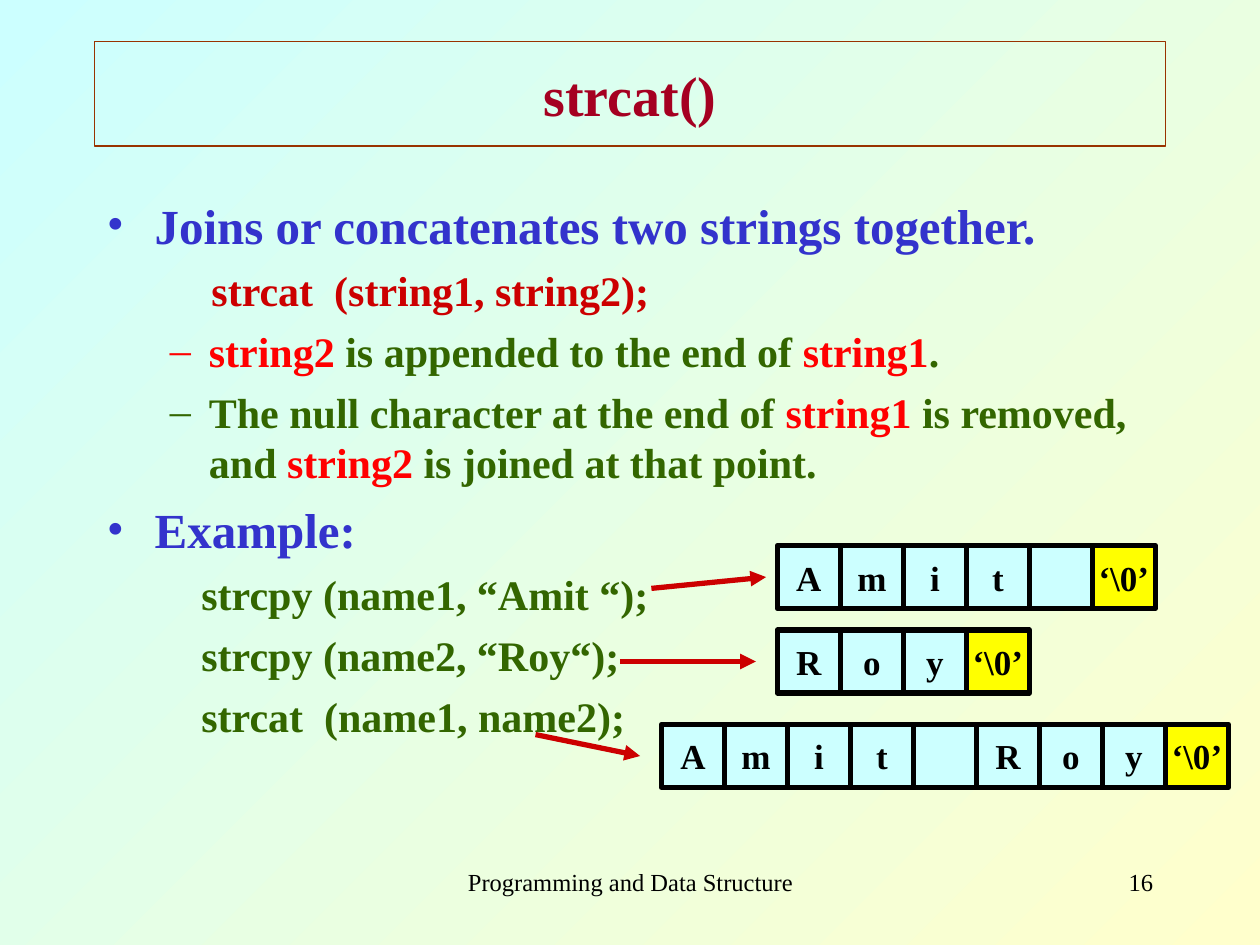
import pptx
import pptx.util
import pptx.dml.color
import pptx.enum.dml
import pptx.enum.shapes
import pptx.enum.text
import pptx.oxml.ns
import lxml.etree

Inches, Pt = pptx.util.Inches, pptx.util.Pt
RGB = pptx.dml.color.RGBColor.from_string
ALIGN = pptx.enum.text.PP_ALIGN
ANCHOR = pptx.enum.text.MSO_ANCHOR
qn = pptx.oxml.ns.qn

THEME = {
    "font": "Times New Roman",
    "bg": ("CCFFFF", "FFFFCC"),
    "title": "A50021", "frame": "993300",
    "head": "3333CC", "body": "336600", "call": "CC0000", "name": "FF0000",
    "black": "000000", "cell": "CCFFFF", "end": "FFFF00", "arrow": "CC0000",
    "title_pt": 32, "head_pt": 28, "body_pt": 24, "cell_pt": 20, "foot_pt": 14,
}

# Content
TITLE = "strcat()"
# kind: (bullet, left margin, first-line indent, size, space before)
STYLES = {
    "head": ("•", 0.38, -0.38, "head_pt", 7),
    "item": ("–", 0.81, -0.31, "body_pt", 6),
    "syntax": (None, 0.83, 0, "body_pt", 6),
    "code": (None, 0.75, 0, "body_pt", 6),
}
BODY = [
    ("head", [("Joins or concatenates two strings together.", "head")]),
    ("syntax", [("strcat  (string1, string2);", "call")]),
    ("item", [("string2", "name"), (" is appended to the end of ", "body"),
              ("string1", "name"), (".", "body")]),
    ("item", [("The null character at the end of ", "body"), ("string1", "name"),
              (" is removed, and ", "body"), ("string2", "name"),
              (" is joined at that point.", "body")]),
    ("head", [("Example:", "head")]),
    ("code", [("strcpy (name1, “Amit “);", "body")]),
    ("code", [("strcpy (name2, “Roy“);", "body")]),
    ("code", [("strcat  (name1, name2);", "body")]),
]
END = "‘\\0’"
AMIT, ROY = list("Amit "), list("Roy")
CELL = 0.5
# left, top, characters
STRINGS = [
    (6.17, 4.33, AMIT + [END]),
    (6.17, 5, ROY + [END]),
    (5.25, 5.75, AMIT + ROY + [END]),
]
ARROWS = [(5.17, 4.67, 6.08, 4.58), (4.92, 5.25, 6, 5.25), (4.25, 5.83, 5.08, 6)]
FOOTERS = [
    ("Programming and Data Structure", 3.42, 3.17, ALIGN.CENTER),
    ("16", 7.17, 2.08, ALIGN.RIGHT),
]


def add_run(p, text, size, color, bold=True):
    r = p.add_run()
    r.text = text
    r.font.name = THEME["font"]
    r.font.size = Pt(THEME[size])
    r.font.bold = bold
    r.font.color.rgb = RGB(THEME[color])


def add_textbox(s, x, y, w, h):
    tf = s.shapes.add_textbox(Inches(x), Inches(y), Inches(w), Inches(h)).text_frame
    tf.word_wrap = True
    return tf


def format_paragraph(p, bullet, margin, indent, before, color):
    p.space_before = Pt(before)
    pPr = p._p.get_or_add_pPr()
    pPr.set("marL", str(Inches(margin)))
    pPr.set("indent", str(Inches(indent)))
    if bullet:
        clr = lxml.etree.SubElement(pPr, qn("a:buClr"))
        lxml.etree.SubElement(clr, qn("a:srgbClr"), val=THEME[color])
        lxml.etree.SubElement(pPr, qn("a:buFont"), typeface=THEME["font"])
        lxml.etree.SubElement(pPr, qn("a:buChar"), char=bullet)
    else:
        lxml.etree.SubElement(pPr, qn("a:buNone"))


def add_cell(group, x, y, char):
    sp = group.shapes.add_shape(pptx.enum.shapes.MSO_SHAPE.RECTANGLE,
                                Inches(x), Inches(y), Inches(CELL), Inches(CELL))
    sp.shadow.inherit = False
    sp.fill.solid()
    sp.fill.fore_color.rgb = RGB(THEME["end" if char == END else "cell"])
    sp.line.color.rgb = RGB(THEME["black"])
    sp.line.width = Pt(3)
    if char.strip():
        tf = sp.text_frame
        tf.word_wrap = False
        tf.vertical_anchor = ANCHOR.MIDDLE
        tf.paragraphs[0].alignment = ALIGN.CENTER
        add_run(tf.paragraphs[0], char, "cell_pt", "black")


def add_arrow(s, x1, y1, x2, y2):
    line = s.shapes.add_connector(pptx.enum.shapes.MSO_CONNECTOR.STRAIGHT,
                                  Inches(x1), Inches(y1), Inches(x2), Inches(y2))
    line.line.color.rgb = RGB(THEME["arrow"])
    line.line.width = Pt(3)
    lxml.etree.SubElement(line.line._get_or_add_ln(), qn("a:tailEnd"), type="triangle")
    lxml.etree.SubElement(line._element.spPr, qn("a:effectLst"))


def main():
    prs = pptx.Presentation()
    prs.slide_width, prs.slide_height = Inches(10), Inches(7.5)
    s = prs.slides.add_slide(prs.slide_layouts[5])

    # Background
    bg = s.background.fill
    bg.gradient()
    bg.gradient_angle = 315
    for stop, color in zip(bg.gradient_stops, THEME["bg"]):
        stop.color.rgb = RGB(color)

    # Title
    sp = s.shapes.title
    sp.left, sp.top, sp.width, sp.height = map(Inches, (0.75, 0.33, 8.5, 0.83))
    sp.line.color.rgb = RGB(THEME["frame"])
    sp.line.width = Pt(0.75)
    tf = sp.text_frame
    tf.auto_size = pptx.enum.text.MSO_AUTO_SIZE.NONE
    tf.vertical_anchor = ANCHOR.MIDDLE
    tf.paragraphs[0].alignment = ALIGN.CENTER
    add_run(tf.paragraphs[0], TITLE, "title_pt", "title")

    # Body text
    tf = add_textbox(s, 0.75, 1.5, 8.5, 5.17)
    for i, (kind, runs) in enumerate(BODY):
        p = tf.add_paragraph() if i else tf.paragraphs[0]
        bullet, margin, indent, size, before = STYLES[kind]
        format_paragraph(p, bullet, margin, indent, before, runs[0][1])
        for text, color in runs:
            add_run(p, text, size, color)

    # Strings in memory
    for left, top, chars in STRINGS:
        group = s.shapes.add_group_shape()
        for i, char in enumerate(chars):
            add_cell(group, left + i * CELL, top, char)

    # Arrows from code to strings
    for ends in ARROWS:
        add_arrow(s, *ends)

    # Footer
    for text, left, width, align in FOOTERS:
        p = add_textbox(s, left, 6.83, width, 0.5).paragraphs[0]
        p.alignment = align
        add_run(p, text, "foot_pt", "black", bold=False)

    prs.save("out.pptx")


if __name__ == "__main__":
    main()
